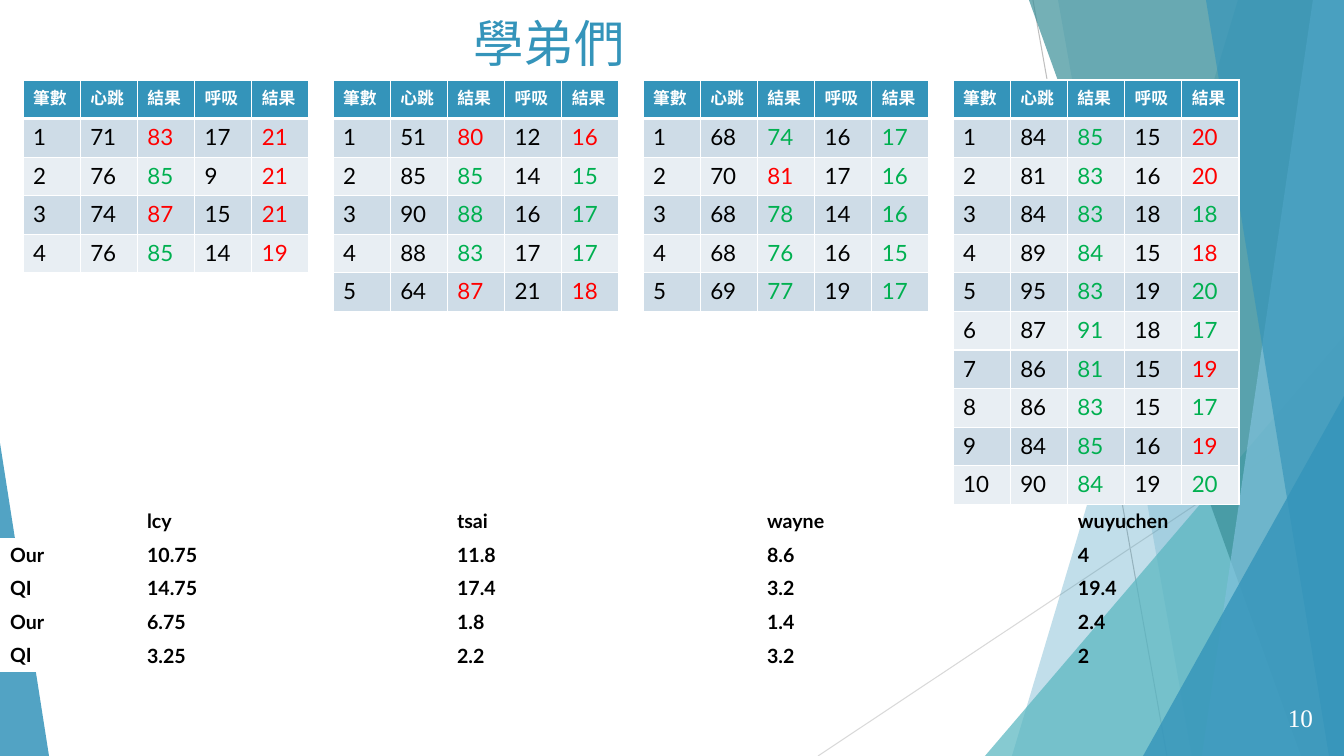
from lxml import etree
from pptx import Presentation
from pptx import util as u
from pptx.dml.color import RGBColor
from pptx.enum import shapes, text
from pptx.oxml.ns import qn

TITLE = "學弟們"
PAGE_NUMBER = "10"
HEADER = ("筆數", "心跳", "結果", "呼吸", "結果")

# One list per person: (heart rate, measured heart rate, breathing, measured breathing)
READINGS = [
    [(71, 83, 17, 21), (76, 85, 9, 21), (74, 87, 15, 21), (76, 85, 14, 19)],
    [(51, 80, 12, 16), (85, 85, 14, 15), (90, 88, 16, 17), (88, 83, 17, 17),
     (64, 87, 21, 18)],
    [(68, 74, 16, 17), (70, 81, 17, 16), (68, 78, 14, 16), (68, 76, 16, 15),
     (69, 77, 19, 17)],
    [(84, 85, 15, 20), (81, 83, 16, 20), (84, 83, 18, 18), (89, 84, 15, 18),
     (95, 83, 19, 20), (87, 91, 18, 17), (86, 81, 15, 19), (86, 83, 15, 17),
     (84, 85, 16, 19), (90, 84, 19, 20)],
]
SUMMARY = [
    ("", "lcy", "tsai", "wayne", "wuyuchen"),
    ("Our", "10.75", "11.8", "8.6", "4"),
    ("QI", "14.75", "17.4", "3.2", "19.4"),
    ("Our", "6.75", "1.8", "1.4", "2.4"),
    ("QI", "3.25", "2.2", "3.2", "2"),
]
SUMMARY_COLS = (137, 310, 310, 311, 170)

BLACK = RGBColor(0, 0, 0)
WHITE = RGBColor(0xFF, 0xFF, 0xFF)
RED = RGBColor(0xFF, 0, 0)
GREEN = RGBColor(0, 0xB0, 0x50)
BLUE = RGBColor(0x34, 0x94, 0xBA)
TEAL = RGBColor(0x58, 0xB6, 0xC0)
DARK_TEAL = RGBColor(0x3A, 0x8F, 0x98)
LIGHT_BLUE = RGBColor(0x7F, 0xC1, 0xDB)
BANDS = (RGBColor(0xCE, 0xDC, 0xE7), RGBColor(0xE8, 0xEE, 0xF3))

W, H = 1344, 756
EMU_PER_PX = 914400 / 100.8
LATO, CJK, TIMES = "Lato", "Noto Sans CJK SC", "Times New Roman"
NO_STYLE = "{2D5ABB26-0587-4C30-8999-92F81FD0307C}"

RAYS = [((1033, 0, 1167, H), RGBColor(0xBF, 0xBF, 0xBF)),
        ((W, 406, 818, H), RGBColor(0xD9, 0xD9, 0xD9))]
# Facets: two numbers are the top and bottom x of a left edge whose area runs to
# the slide's right side; four are a triangle's box.  Then apex, colour, opacity %.
FACETS = [
    ((1238, 1012), None, BLUE, 30),
    ((1058, 1192), None, BLUE, 20),
    ((985, 336, 359, 420), 1, TEAL, 72),
    ((1029, 1301), None, DARK_TEAL, 70),
    ((1313, 1202), None, LIGHT_BLUE, 70),
    ((1206, 1329), None, BLUE, 65),
    ((1143, 396, 201, 360), 1, BLUE, 80),
    ((0, 443, 49, 313), 0, BLUE, 85),
]


def px(*lengths):
    return [u.Emu(round(n * EMU_PER_PX)) for n in lengths]


def add_ray(slide, ends, color):
    line = slide.shapes.add_connector(shapes.MSO_CONNECTOR.STRAIGHT, *px(*ends))
    line.line.color.rgb = color
    line.line.width = u.Pt(0.75)
    etree.SubElement(line._element.spPr, qn("a:effectLst"))


def add_facet(slide, geometry, apex, color, opacity):
    if apex is None:
        top, bottom = geometry
        outline = slide.shapes.build_freeform(top, 0, scale=EMU_PER_PX)
        outline.add_line_segments([(W, 0), (W, H), (bottom, H)])
        sp = outline.convert_to_shape()
    else:
        sp = slide.shapes.add_shape(
            shapes.MSO_SHAPE.ISOSCELES_TRIANGLE, *px(*geometry))
        sp.adjustments[0] = apex
    sp.shadow.inherit = False
    sp.fill.solid()
    sp.fill.fore_color.rgb = color
    sp.line.fill.background()
    rgb = sp._element.spPr.find(qn("a:solidFill"))[0]
    etree.SubElement(rgb, qn("a:alpha"), val=str(opacity * 1000))


def style(p, size, font, color, bold=False):
    for r in p.runs:
        r.font.size = u.Pt(size)
        r.font.name = font
        r.font.bold = bold
        r.font.color.rgb = color
    if not p.runs:
        etree.SubElement(p._p, qn("a:endParaRPr"), sz=str(size * 100))


def add_label(slide, box, words, size, font, color, align, anchor):
    tf = slide.shapes.add_textbox(*px(*box)).text_frame
    tf.word_wrap = True
    tf.vertical_anchor = anchor
    tf.text = words
    p = tf.paragraphs[0]
    p.alignment = align
    style(p, size, font, color)
    return p


def add_plain_table(slide, left, top, col_widths, row_height, n_rows):
    width = sum(col_widths)
    table = slide.shapes.add_table(
        n_rows, len(col_widths), *px(left, top, width, row_height * n_rows)).table
    table.first_row = table.horz_banding = False
    table._tbl.tblPr.find(qn("a:tableStyleId")).text = NO_STYLE
    for col, w in zip(table.columns, col_widths):
        col.width = px(w)[0]
    for row in table.rows:
        row.height = px(row_height)[0]
    return table


def fill_cell(cell, color):
    cell.fill.solid()
    cell.fill.fore_color.rgb = color


def add_borders(cell, top, bottom):
    """White borders, 1 pt at the sides, placed before the fill as the schema asks."""
    sides = (("L", 1), ("R", 1), ("T", top), ("B", bottom))
    for i, (side, width) in enumerate(sides):
        ln = etree.Element(qn(f"a:ln{side}"), w=str(u.Pt(width)))
        solid = etree.SubElement(ln, qn("a:solidFill"))
        etree.SubElement(solid, qn("a:srgbClr"), val=str(WHITE))
        cell._tc.get_or_add_tcPr().insert(i, ln)


def reading_colors(heart, heart_result, breath, breath_result):
    """Results are green within 15 % for heart rate and within 2 for breathing."""
    heart_ok = abs(heart_result - heart) <= 0.15 * heart
    breath_ok = abs(breath_result - breath) <= 2
    return (BLACK, BLACK, GREEN if heart_ok else RED,
            BLACK, GREEN if breath_ok else RED)


def add_readings(slide, left, readings):
    table = add_plain_table(slide, left, 80, [286 / 5] * 5, 386 / 10,
                            len(readings) + 1)
    rows = [(HEADER, [WHITE] * 5)]
    rows += [((n, *reading), reading_colors(*reading))
             for n, reading in enumerate(readings, 1)]
    for i, (values, colors) in enumerate(rows):
        for j, (value, color) in enumerate(zip(values, colors)):
            cell = table.cell(i, j)
            cell.text = str(value)
            style(cell.text_frame.paragraphs[0], 16 if i else 12, LATO, color,
                  bold=i == 0)
            fill_cell(cell, BANDS[(i - 1) % 2] if i else BLUE)
            add_borders(cell, 3 if i == 1 else 1, 1 if i else 3)


def add_summary(slide):
    table = add_plain_table(slide, 0, 504, SUMMARY_COLS, 168 / 5, len(SUMMARY))
    for i, row in enumerate(SUMMARY):
        for j, value in enumerate(row):
            cell = table.cell(i, j)
            cell.text = value
            style(cell.text_frame.paragraphs[0], 14, LATO, BLACK, bold=True)
            if j:
                cell.vertical_anchor = text.MSO_ANCHOR.MIDDLE
            elif i:
                fill_cell(cell, WHITE)


def main():
    prs = Presentation()
    prs.slide_width, prs.slide_height = px(W, H)
    slide = prs.slides.add_slide(prs.slide_layouts[6])
    for ray in RAYS:
        add_ray(slide, *ray)
    for facet in FACETS:
        add_facet(slide, *facet)
    title = add_label(slide, (75, 7, 948, 145), TITLE, 36, CJK, BLUE,
                      text.PP_ALIGN.CENTER, text.MSO_ANCHOR.TOP)
    etree.SubElement(title.runs[0]._r.rPr, qn("a:ea"), typeface=CJK)
    add_label(slide, (1248, 697, 75, 40), PAGE_NUMBER, 18, TIMES, WHITE,
              text.PP_ALIGN.RIGHT, text.MSO_ANCHOR.MIDDLE)
    for i, readings in enumerate(READINGS):
        add_readings(slide, 23 + 310 * i, readings)
    add_summary(slide)
    prs.save("out.pptx")


if __name__ == "__main__":
    main()
